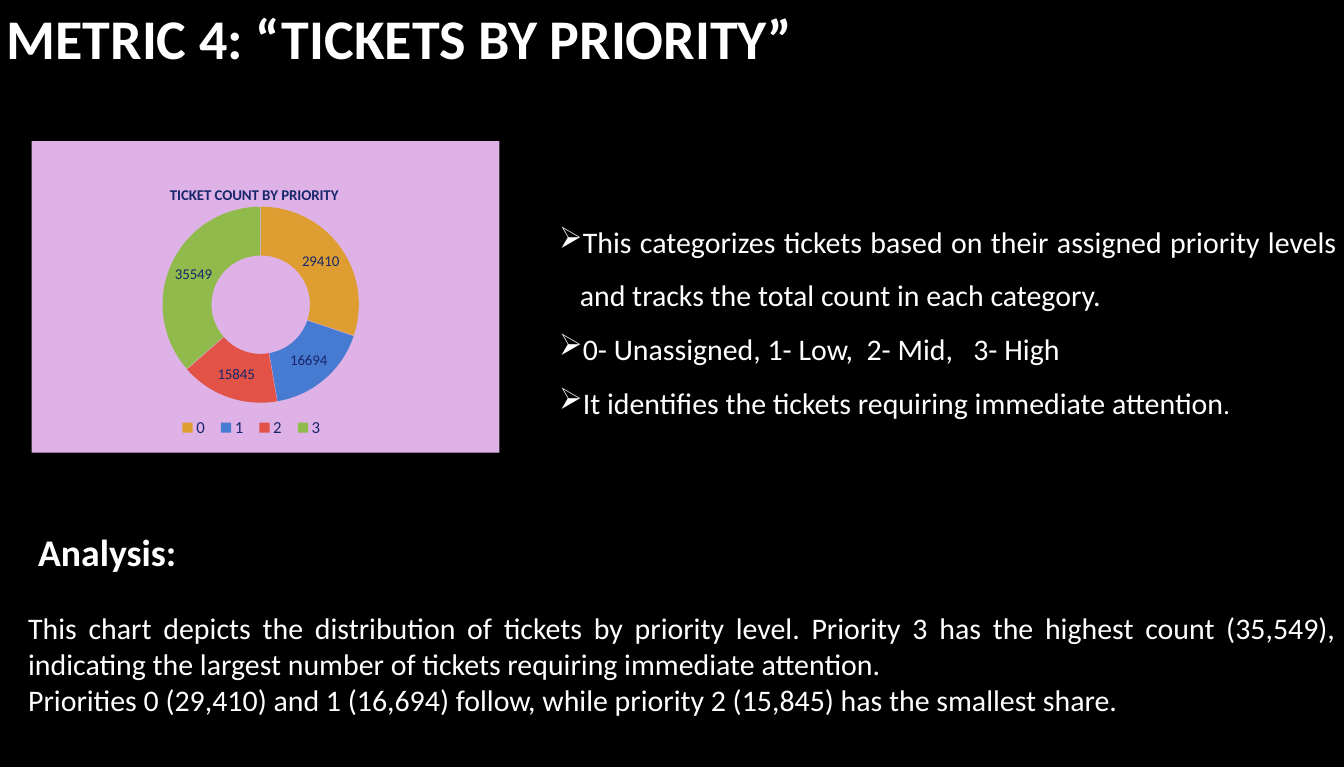
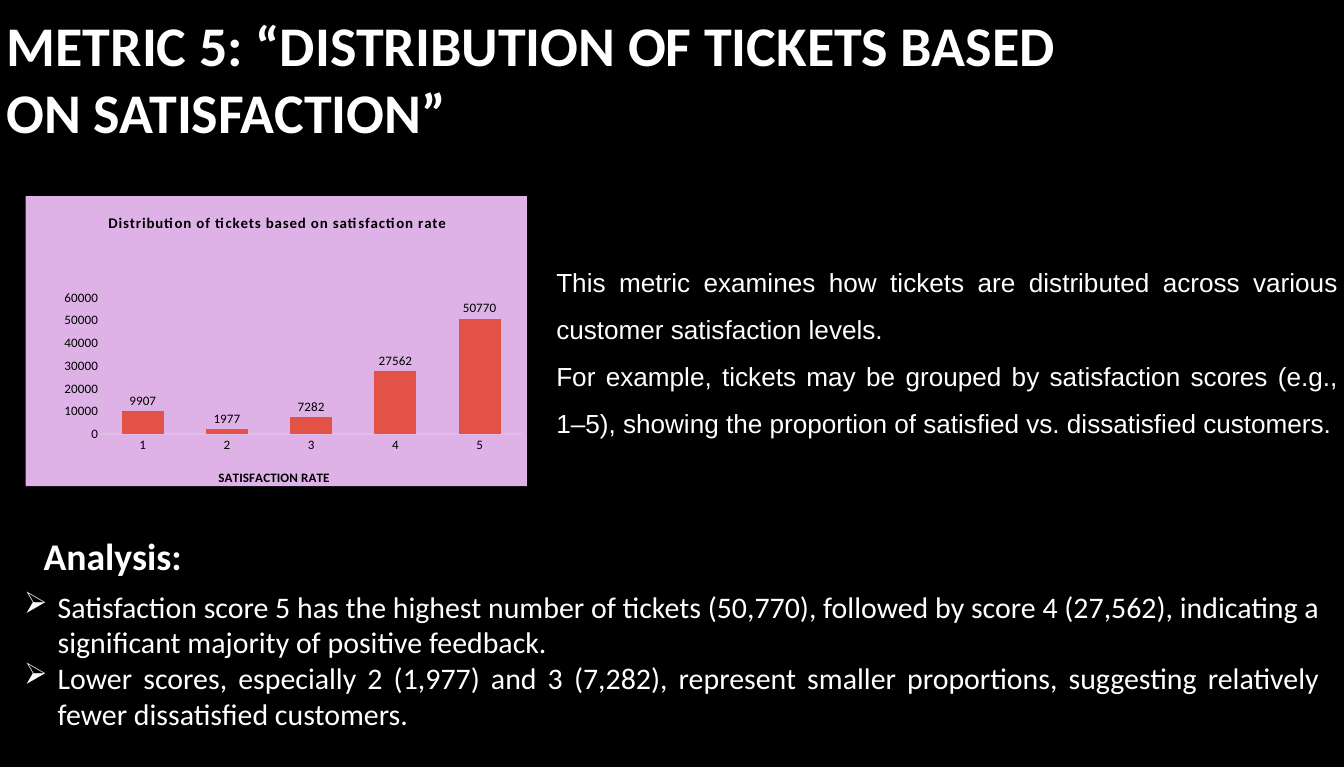
from dataclasses import dataclass

from lxml.etree import SubElement
from pptx import Presentation
from pptx.chart.data import CategoryChartData
from pptx.dml.color import RGBColor
from pptx.enum.chart import XL_CHART_TYPE as ChartType
from pptx.enum.chart import XL_LABEL_POSITION as LabelPosition
from pptx.enum.chart import XL_LEGEND_POSITION as LegendPosition
from pptx.enum.chart import XL_TICK_MARK as TickMark
from pptx.enum.text import MSO_ANCHOR as Anchor
from pptx.enum.text import MSO_AUTO_SIZE as AutoSize
from pptx.enum.text import PP_ALIGN as Align
from pptx.oxml import parse_xml
from pptx.oxml.ns import nsdecls, qn
from pptx.util import Inches, Pt

# Square grid: 20 columns across, one inch each
COLUMNS, ROWS = 20, 11.42
CELL = Inches(1)


@dataclass(frozen=True)
class Theme:
    background: str = "000000"
    text: str = "FFFFFF"
    panel: str = "DEB2E6"
    navy: str = "18276C"
    black: str = "000000"
    axis: str = "F2F2F2"
    priorities: tuple = ("DD9D31", "477BD1", "E25247", "90BA4C")
    bars: str = "E25247"
    font: str = "Calibri"
    alt_font: str = "Arial"
    title: float = 60
    heading: float = 40.4
    body: float = 32
    small_body: float = 28
    legend: float = 18
    chart_title: float = 16
    axis_text: float = 14


THEME = Theme()


# Formatting helpers
def cells(*counts):
    return [round(count * CELL) for count in counts]


def assign(target, values):
    for name, value in values.items():
        setattr(target, name, value)


def style_font(font, size, color=THEME.text, **extra):
    assign(font, {"name": THEME.font, "size": Pt(size), **extra})
    font.color.rgb = RGBColor.from_string(color)


def paint(fill, color):
    fill.solid()
    fill.fore_color.rgb = RGBColor.from_string(color)


def add_arrow_bullet(paragraph, indent):
    properties = paragraph._p.get_or_add_pPr()
    properties.set("marL", str(Inches(indent)))
    properties.set("indent", str(-Inches(indent)))
    SubElement(properties, qn("a:buChar"), char="➢")


# Text elements
def add_text(slide, place, paragraphs, size, anchor=Anchor.TOP,
             grow=True, indent=0, layout=None, **font):
    """Each paragraph is a list of (text, font overrides) runs."""
    frame = slide.shapes.add_textbox(*cells(*place)).text_frame
    assign(frame, {
        "word_wrap": True,
        "vertical_anchor": anchor,
        "auto_size": AutoSize.SHAPE_TO_FIT_TEXT if grow else AutoSize.NONE,
    })
    for number, runs in enumerate(paragraphs):
        paragraph = frame.add_paragraph() if number else frame.paragraphs[0]
        assign(paragraph, layout or {})
        if indent:
            add_arrow_bullet(paragraph, indent)
        for text, overrides in runs:
            run = paragraph.add_run()
            run.text = text
            style_font(run.font, **{"size": size, **font, **overrides})


def plain(*lines):
    return [[(line, {})] for line in lines]


def add_title(slide, place, *lines):
    add_text(slide, place, plain(*lines), THEME.title,
             anchor=Anchor.MIDDLE, grow=False, bold=True)


def add_heading(slide, left, top):
    add_text(slide, (left, top, 2.4, 0.79), plain("Analysis:"),
             THEME.heading, bold=True)


def add_body(slide, place, paragraphs, size=THEME.body, spacing=None, **options):
    layout = {"alignment": Align.JUSTIFY, "line_spacing": spacing}
    add_text(slide, place, paragraphs, size, layout=layout, **options)


# Chart elements
def place_part(element, x, y, w=None, h=None):
    """Fix a chart part at shares of the chart's size."""
    old = element.find(qn("c:layout"))
    if old is not None:
        element.remove(old)
    inner = '<c:layoutTarget val="inner"/>' if element.tag == qn("c:plotArea") else ""
    modes = '<c:xMode val="edge"/><c:yMode val="edge"/>'
    shares = {"x": x, "y": y, "w": w, "h": h}
    values = "".join(f'<c:{name} val="{share}"/>'
                     for name, share in shares.items() if share is not None)
    layout = parse_xml(f'<c:layout {nsdecls("c")}><c:manualLayout>'
                       f'{inner}{modes}{values}</c:manualLayout></c:layout>')
    overlay = element.find(qn("c:overlay"))
    if overlay is None:
        element.insert(0, layout)
    else:
        overlay.addprevious(layout)


def set_chart_title(title, text, size, color, x, y, spacing=0):
    frame = title.text_frame
    frame.text = text
    run = frame.paragraphs[0].runs[0]
    style_font(run.font, size, color, bold=True)
    if spacing:
        run._r.get_or_add_rPr().set("spc", str(spacing))
    place_part(title._element, x, y)


def add_panel_chart(slide, kind, place, categories, values, plot_share):
    data = CategoryChartData()
    data.categories = categories
    data.add_series("Series 1", values)
    chart = slide.shapes.add_chart(kind, *cells(*place), data).chart
    style_font(chart.font, 10)
    chart.has_title = True
    chart.has_legend = False
    chart.element.find(qn("c:chart")).addnext(parse_xml(
        f'<c:spPr {nsdecls("c", "a")}><a:solidFill><a:srgbClr val="{THEME.panel}"/>'
        '</a:solidFill><a:ln><a:noFill/></a:ln></c:spPr>'))
    place_part(chart.element.find(".//" + qn("c:plotArea")), *plot_share)
    return chart


def label_values(series, size, color, **options):
    labels = series.data_labels
    assign(labels, {"show_value": True, **options})
    style_font(labels.font, size, color)


def add_priority_chart(slide):
    chart = add_panel_chart(
        slide, ChartType.DOUGHNUT, (0.47, 2.1, 6.96, 4.64),
        ["0", "1", "2", "3"], (29410, 16694, 15845, 35549),
        (0.28, 0.21, 0.42, 0.63))
    set_chart_title(chart.chart_title, "TICKET COUNT BY PRIORITY",
                    THEME.chart_title, THEME.navy, 0.29, 0.13)
    series = chart.plots[0].series[0]
    for number, color in enumerate(THEME.priorities):
        paint(series.points[number].format.fill, color)
    series._element.find(qn("c:dPt")).addprevious(
        parse_xml(f'<c:explosion {nsdecls("c")} val="1"/>'))
    label_values(series, THEME.chart_title, THEME.navy)
    chart.has_legend = True
    assign(chart.legend, {"position": LegendPosition.BOTTOM,
                          "include_in_layout": False})
    style_font(chart.legend.font, THEME.legend, THEME.navy)
    place_part(chart.legend._element, 0.3, 0.88, 0.34, 0.08)


def add_satisfaction_chart(slide):
    chart = add_panel_chart(
        slide, ChartType.COLUMN_CLUSTERED, (0.38, 2.92, 7.46, 4.37),
        ["1", "2", "3", "4", "5"], (9907, 1977, 7282, 27562, 50770),
        (0.15, 0.35, 0.84, 0.47))
    set_chart_title(chart.chart_title,
                    "Distribution of tickets based on satisfaction rate",
                    THEME.chart_title, THEME.black, 0.16, 0.05, spacing=100)
    plot = chart.plots[0]
    assign(plot, {"gap_width": 100, "overlap": -24, "vary_by_categories": False})
    paint(plot.series[0].format.fill, THEME.bars)
    label_values(plot.series[0], THEME.axis_text, THEME.black,
                 position=LabelPosition.OUTSIDE_END)

    rates, counts = chart.category_axis, chart.value_axis
    for axis in (rates, counts):
        assign(axis, {"major_tick_mark": TickMark.NONE,
                      "minor_tick_mark": TickMark.NONE,
                      "has_major_gridlines": False})
        style_font(axis.tick_labels.font, THEME.axis_text, THEME.black)
    assign(counts, {"minimum_scale": 0, "maximum_scale": 60000,
                    "major_unit": 10000})
    counts.format.line.fill.background()
    baseline = rates.format.line
    baseline.width = Pt(1)
    paint(baseline.fill, THEME.axis)
    tint = rates._element.find(qn("c:spPr")).find(".//" + qn("a:srgbClr"))
    SubElement(tint, qn("a:alpha"), val="54000")
    set_chart_title(rates.axis_title, "SATISFACTION RATE",
                    THEME.axis_text, THEME.black, 0.38, 0.93)


# Slides
def new_slide(deck):
    slide = deck.slides.add_slide(deck.slide_layouts[6])
    paint(slide.background.fill, THEME.background)
    return slide


def build_priority_slide(deck):
    slide = new_slide(deck)
    add_title(slide, (0, -0.6, 15.97, 2.3), "METRIC 4: “TICKETS BY PRIORITY”")
    add_priority_chart(slide)
    meaning = plain(
        "This categorizes tickets based on their assigned priority levels "
        "and tracks the total count in each category.",
        "0- Unassigned, 1- Low,  2- Mid,   3- High",
        "It identifies the tickets requiring immediate attention")
    meaning[-1].append((".", {"size": THEME.small_body, "italic": True}))
    add_body(slide, (8.22, 3.01, 11.78, 3.25), meaning, spacing=1.5, indent=0.31)
    add_heading(slide, 0.47, 7.83)
    add_body(slide, (0.32, 9.03, 19.68, 1.72), plain(
        "This chart depicts the distribution of tickets by priority level. "
        "Priority 3 has the highest count (35,549), indicating the largest "
        "number of tickets requiring immediate attention. ",
        "Priorities 0 (29,410) and 1 (16,694) follow, while priority 2 "
        "(15,845) has the smallest share."))


def build_satisfaction_slide(deck):
    slide = new_slide(deck)
    add_title(slide, (0, 0, COLUMNS, 2.3),
              "METRIC 5: “DISTRIBUTION OF TICKETS BASED", "ON SATISFACTION”")
    add_satisfaction_chart(slide)
    add_body(slide, (8.18, 3.68, 11.82, 2.85), plain(
        "This metric examines how tickets are distributed across various "
        "customer satisfaction levels.",
        "For example, tickets may be grouped by satisfaction scores (e.g., "
        "1–5), showing the proportion of satisfied vs. dissatisfied customers."),
        size=THEME.small_body, spacing=1.5, name=THEME.alt_font)
    add_body(slide, (0.26, 8.71, 19.49, 2.71), plain(
        "Satisfaction score 5 has the highest number of tickets (50,770), "
        "followed by score 4 (27,562), indicating a significant majority of "
        "positive feedback. ",
        "Lower scores, especially 2 (1,977) and 3 (7,282), represent smaller "
        "proportions, suggesting relatively fewer dissatisfied customers."),
        indent=0.5)
    add_heading(slide, 0.55, 7.89)


def main():
    deck = Presentation()
    deck.slide_width, deck.slide_height = cells(COLUMNS, ROWS)
    build_priority_slide(deck)
    build_satisfaction_slide(deck)
    deck.save("out.pptx")


if __name__ == "__main__":
    main()
